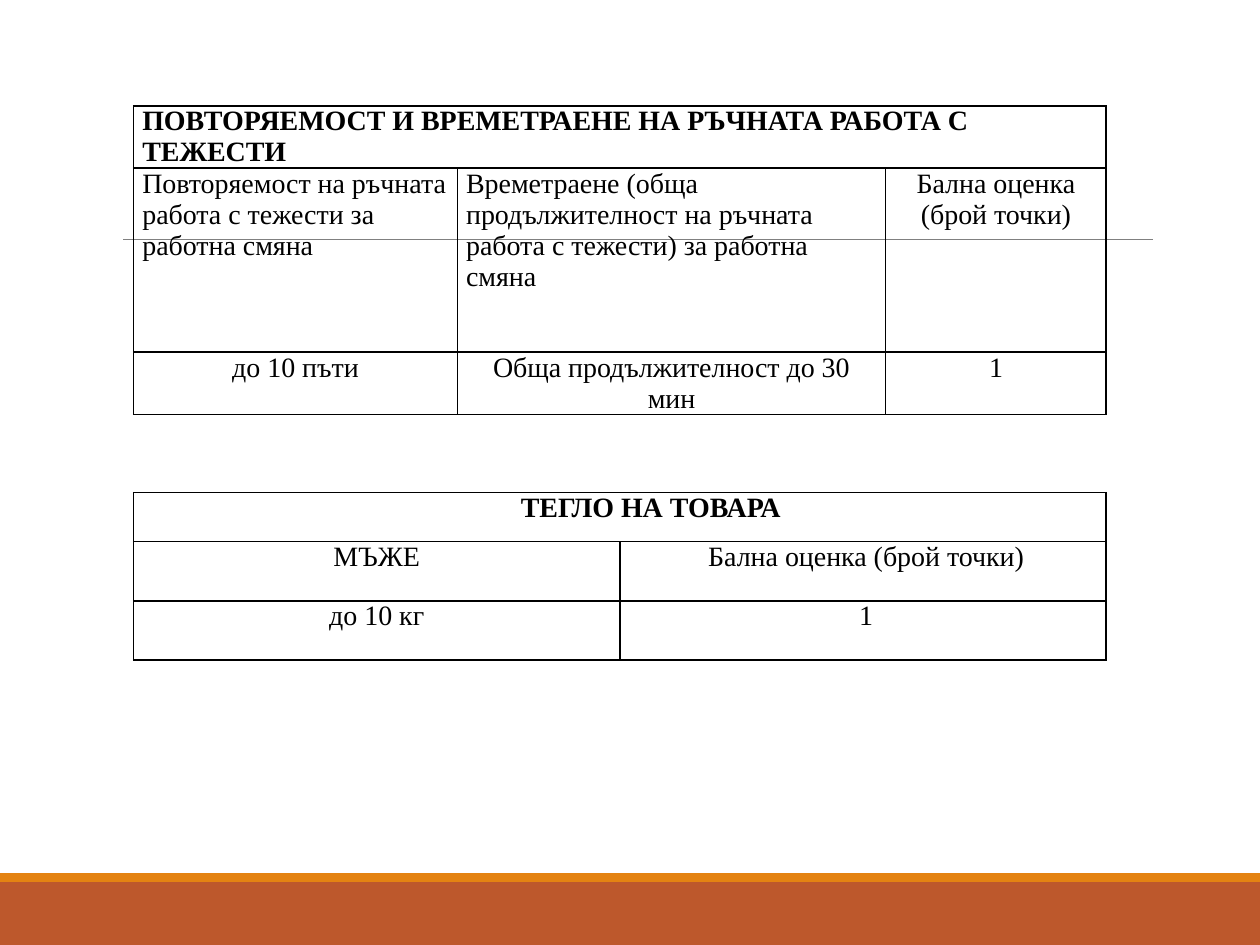
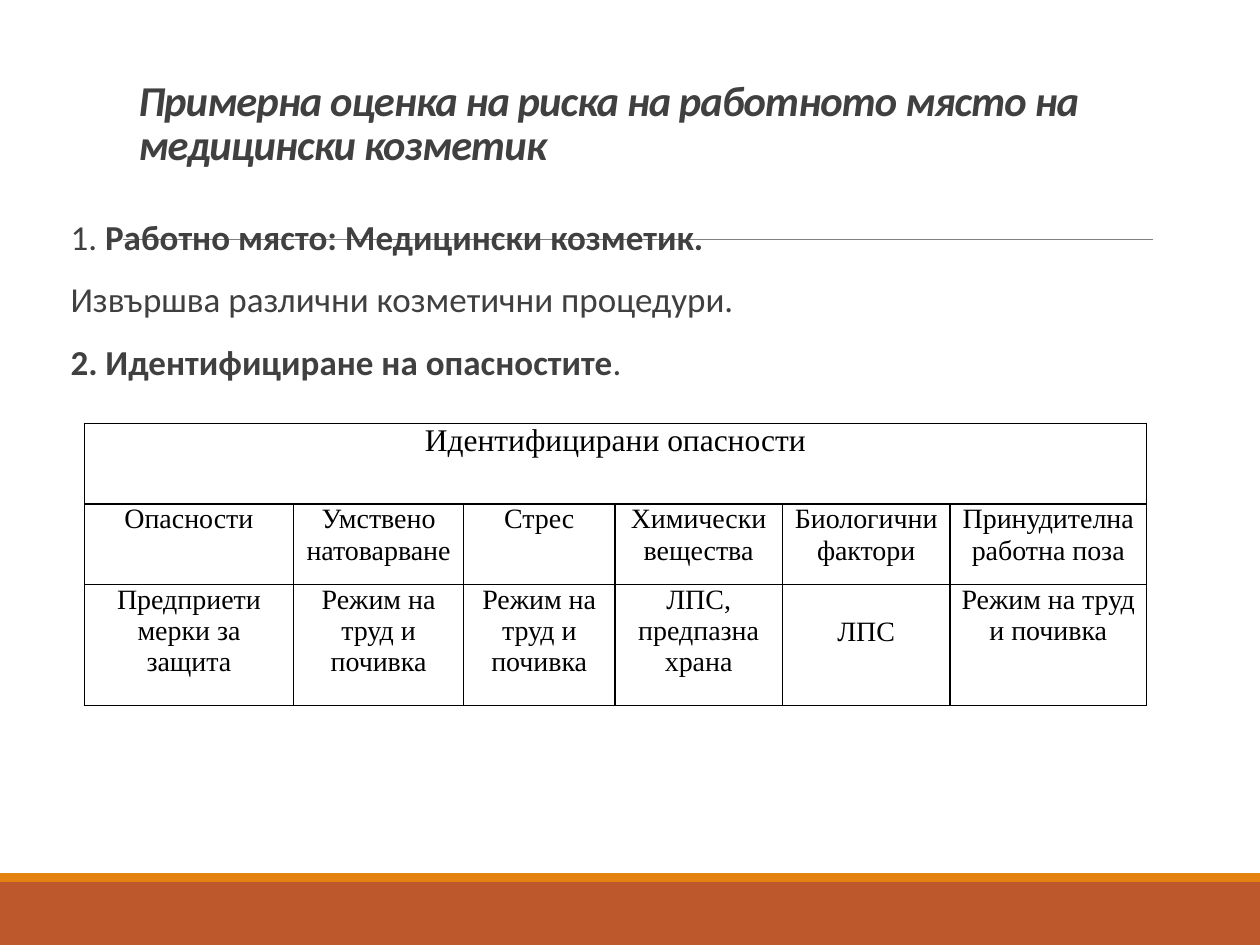
from dataclasses import dataclass

from lxml.etree import SubElement
from pptx import Presentation
from pptx.dml.color import RGBColor
from pptx.enum.shapes import MSO_CONNECTOR, MSO_SHAPE
from pptx.enum.text import MSO_ANCHOR, PP_ALIGN
from pptx.oxml.ns import qn
from pptx.slide import Slide
from pptx.table import _Cell
from pptx.text.text import TextFrame
from pptx.util import Emu, Pt

EMU_PER_PX = 9144


@dataclass(frozen=True)
class Theme:
    band: RGBColor = RGBColor(0xBD, 0x58, 0x2C)
    accent: RGBColor = RGBColor(0xE4, 0x83, 0x12)
    rule: RGBColor = RGBColor(0x80, 0x80, 0x80)
    text: RGBColor = RGBColor(0x40, 0x40, 0x40)
    grid: RGBColor = RGBColor(0, 0, 0)
    text_font: str = "Calibri"
    table_font: str = "Times New Roman"
    title_size: float = 24.3
    body_size: int = 20
    table_size: int = 16
    table_heading_size: int = 18
    rule_width: float = 0.5
    grid_width: int = 1


THEME = Theme()


@dataclass(frozen=True)
class Box:
    left: int
    top: int
    width: int
    height: int

    def emu(self) -> tuple[Emu, Emu, Emu, Emu]:
        return px(self.left), px(self.top), px(self.width), px(self.height)


@dataclass(frozen=True)
class Entry:
    text: str
    align: PP_ALIGN = PP_ALIGN.CENTER
    bold: bool = False
    size: int = THEME.table_size
    indent: int = 0
    top: int = 0


@dataclass(frozen=True)
class Grid:
    left: int
    top: int
    columns: tuple[int, ...]
    rows: tuple[int, ...]
    heading: Entry
    entries: tuple[tuple[Entry, ...], ...]


@dataclass(frozen=True)
class Band:
    box: Box
    color: RGBColor


BANDS = (
    Band(Box(0, 700, 1000, 50), THEME.band),
    Band(Box(0, 693, 1000, 7), THEME.accent),
)

REPETITION = Grid(
    106, 84, (257, 340, 175), (49, 146, 49),
    Entry("ПОВТОРЯЕМОСТ И ВРЕМЕТРАЕНЕ НА РЪЧНАТА РАБОТА С ТЕЖЕСТИ", PP_ALIGN.LEFT, bold=True),
    (
        (
            Entry("Повторяемост на ръчната работа с тежести за работна смяна", PP_ALIGN.LEFT),
            Entry("Времетраене (обща продължителност на ръчната работа с тежести) за работна смяна",
                  PP_ALIGN.LEFT),
            Entry("Бална оценка\n(брой точки)"),
        ),
        (Entry("до 10 пъти"), Entry("Обща продължителност до 30 мин"), Entry("1")),
    ),
)

LOAD_WEIGHT = Grid(
    106, 391, (386, 386), (39, 47, 47),
    Entry("ТЕГЛО НА ТОВАРА", bold=True, indent=49),
    (
        (Entry("МЪЖЕ"), Entry("Бална оценка (брой точки)", indent=5)),
        (Entry("до 10 кг"), Entry("1", indent=5)),
    ),
)

REST_REGIME = Entry("Режим на труд и почивка")
HAZARDS = Grid(
    67, 336, (166, 135, 120, 133, 133, 156), (64, 64, 96),
    Entry("Идентифицирани опасности", size=THEME.table_heading_size),
    (
        (
            Entry("Опасности"), Entry("Умствено натоварване"), Entry("Стрес"),
            Entry("Химически вещества"), Entry("Биологични фактори"),
            Entry("Принудителна работна поза"),
        ),
        (
            Entry("Предприети мерки за защита"), REST_REGIME, REST_REGIME,
            Entry("ЛПС, предпазна храна"), Entry("ЛПС", top=25), REST_REGIME,
        ),
    ),
)

TITLE = "Примерна оценка на риска на работното място на медицински козметик"
WORKPLACE = (
    (("1. ", False), ("Работно място: Медицински козметик.", True)),
    (("Извършва различни козметични процедури.", False),),
    (("2. Идентифициране на опасностите", True), (".", False)),
)


def px(length: int) -> Emu:
    return Emu(length * EMU_PER_PX)


def draw_frame(slide: Slide) -> None:
    for band in BANDS:
        strip = slide.shapes.add_shape(MSO_SHAPE.RECTANGLE, *band.box.emu())
        strip.shadow.inherit = False
        strip.fill.solid()
        strip.fill.fore_color.rgb = band.color
        strip.line.fill.background()
    rule = slide.shapes.add_connector(MSO_CONNECTOR.STRAIGHT, px(98), px(190), px(915), px(190))
    rule.line.color.rgb = THEME.rule
    rule.line.width = Pt(THEME.rule_width)
    SubElement(rule._element.spPr, qn("a:effectLst"))


def draw_borders(cell: _Cell) -> None:
    properties = cell._tc.get_or_add_tcPr()
    for position, side in enumerate(("a:lnL", "a:lnR", "a:lnT", "a:lnB")):
        border = SubElement(properties, qn(side), w=str(Pt(THEME.grid_width)))
        ink = SubElement(border, qn("a:solidFill"))
        SubElement(ink, qn("a:srgbClr"), val=str(THEME.grid))
        properties.insert(position, border)


def write_entry(cell: _Cell, entry: Entry) -> None:
    cell.margin_top = px(entry.top)
    cell.text_frame.text = entry.text
    for paragraph in cell.text_frame.paragraphs:
        paragraph.alignment = entry.align
        paragraph.font.name = THEME.table_font
        paragraph.font.size = Pt(entry.size)
        paragraph.font.bold = entry.bold
        paragraph.font.color.rgb = THEME.grid
        if entry.indent:
            paragraph._p.get_or_add_pPr().set("indent", str(px(entry.indent)))


def draw_grid(slide: Slide, grid: Grid) -> None:
    box = Box(grid.left, grid.top, sum(grid.columns), sum(grid.rows))
    table = slide.shapes.add_table(len(grid.rows), len(grid.columns), *box.emu()).table
    table.first_row = False
    table.horz_banding = False
    for column, width in zip(table.columns, grid.columns):
        column.width = px(width)
    for row, height in zip(table.rows, grid.rows):
        row.height = px(height)
    for cell in table.iter_cells():
        cell.fill.background()
        cell.margin_left = cell.margin_right = px(7)
        cell.margin_top = cell.margin_bottom = 0
        draw_borders(cell)
    table.cell(0, 0).merge(table.cell(0, len(grid.columns) - 1))
    write_entry(table.cell(0, 0), grid.heading)
    for row_index, entries in enumerate(grid.entries, start=1):
        for column_index, entry in enumerate(entries):
            write_entry(table.cell(row_index, column_index), entry)


def add_text(slide: Slide, box: Box) -> TextFrame:
    frame = slide.shapes.add_textbox(*box.emu()).text_frame
    frame.word_wrap = True
    return frame


def draw_title(slide: Slide, title: str) -> None:
    frame = add_text(slide, Box(100, 60, 800, 79))
    frame.vertical_anchor = MSO_ANCHOR.BOTTOM
    frame.text = title
    paragraph = frame.paragraphs[0]
    paragraph.line_spacing = 0.85
    paragraph.font.name = THEME.text_font
    paragraph.font.size = Pt(THEME.title_size)
    paragraph.font.bold = paragraph.font.italic = True
    paragraph.font.color.rgb = THEME.text
    paragraph.runs[0]._r.get_or_add_rPr().set("spc", "-50")


def draw_workplace(slide: Slide) -> None:
    frame = add_text(slide, Box(51, 170, 849, 520))
    frame.margin_left = px(5)
    frame.margin_right = 0
    for index, parts in enumerate(WORKPLACE):
        paragraph = frame.add_paragraph() if index else frame.paragraphs[0]
        paragraph.line_spacing = 0.9
        paragraph.space_before = Pt(12)
        paragraph.space_after = Pt(2)
        paragraph.font.name = THEME.text_font
        paragraph.font.size = Pt(THEME.body_size)
        paragraph.font.color.rgb = THEME.text
        for text, bold in parts:
            run = paragraph.add_run()
            run.text = text
            run.font.bold = bold


def main() -> None:
    deck = Presentation()
    deck.slide_width, deck.slide_height = px(1000), px(750)
    blank = deck.slide_layouts[6]

    scoring = deck.slides.add_slide(blank)
    draw_frame(scoring)
    draw_grid(scoring, REPETITION)
    draw_grid(scoring, LOAD_WEIGHT)

    assessment = deck.slides.add_slide(blank)
    draw_frame(assessment)
    draw_title(assessment, TITLE)
    draw_workplace(assessment)
    draw_grid(assessment, HAZARDS)

    deck.save("out.pptx")


if __name__ == "__main__":
    main()
